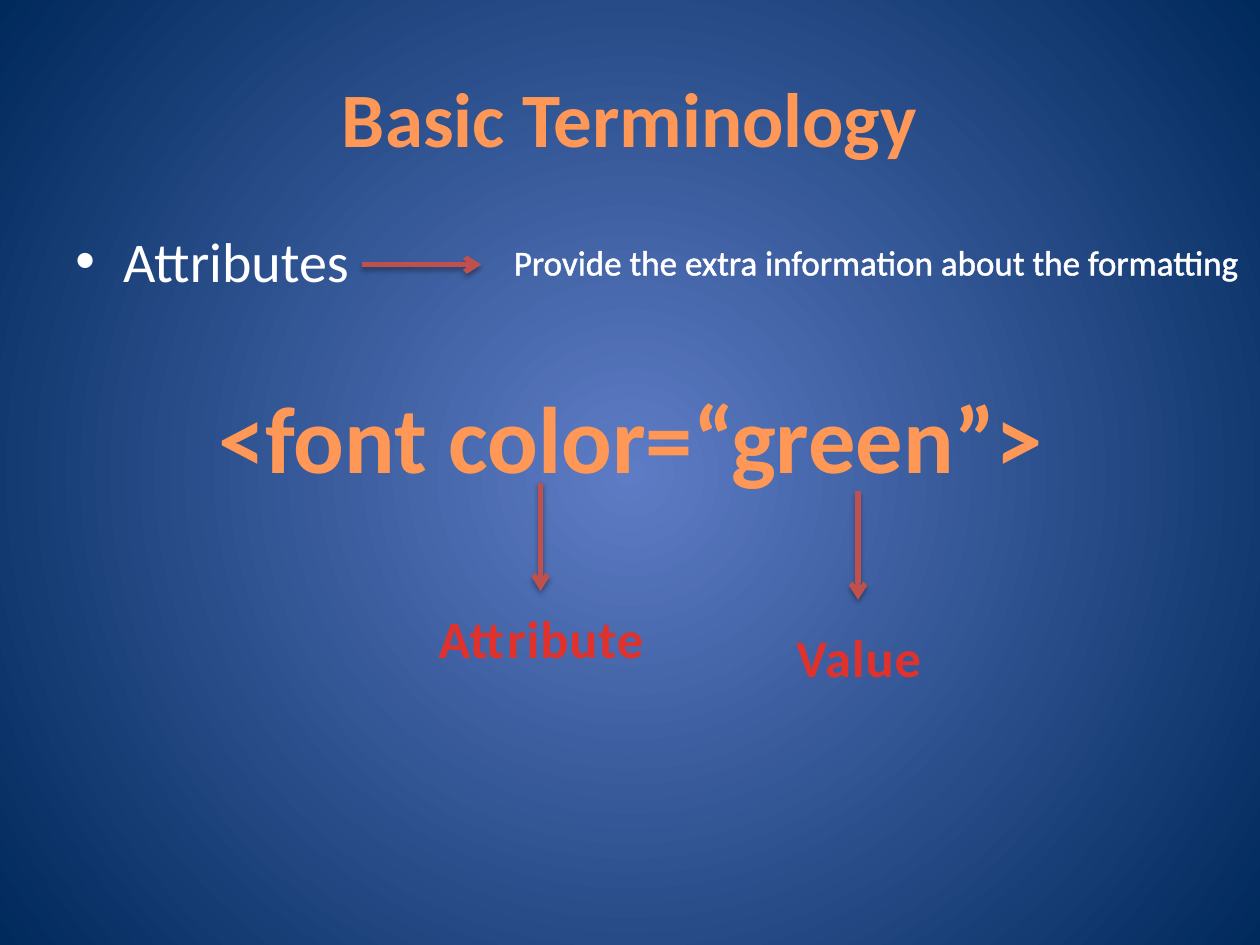
"""Build the Basic Terminology slide on HTML attributes and values."""
import dataclasses

import lxml.etree
import pptx
import pptx.dml.color
import pptx.enum.dml
import pptx.enum.shapes
import pptx.enum.text
import pptx.oxml
import pptx.oxml.ns
import pptx.util

Inches = pptx.util.Inches
Pt = pptx.util.Pt
Align = pptx.enum.text.PP_ALIGN
qn = pptx.oxml.ns.qn
NAMESPACE = pptx.oxml.ns.nsdecls("a")


@dataclasses.dataclass(frozen=True)
class Theme:
    font: str = "Calibri"
    center: str = "5E7CC5"
    edge: str = "00295C"
    orange: str = "FF9856"
    red: str = "E0322D"
    white: str = "FFFFFF"
    arrow: str = "C0504D"
    title_size: int = 44
    code_size: int = 54
    bullet_size: int = 32
    label_size: int = 30
    note_size: int = 20


theme = Theme()


def format_text(shape, text, size, color, bold=False, align=Align.CENTER):
    shape.text_frame.text = text
    paragraph = shape.text_frame.paragraphs[0]
    paragraph.alignment = align
    font = paragraph.runs[0].font
    font.name = theme.font
    font.size = Pt(size)
    font.bold = bold
    font.color.rgb = pptx.dml.color.RGBColor.from_string(color)
    return paragraph


def add_label(left, top, width, height, *text_format):
    shape = slide.shapes.add_textbox(Inches(left), Inches(top), Inches(width), Inches(height))
    paragraph = format_text(shape, *text_format)
    shape.text_frame.word_wrap = False
    shape.text_frame.auto_size = pptx.enum.text.MSO_AUTO_SIZE.SHAPE_TO_FIT_TEXT
    return paragraph


presentation = pptx.Presentation()
presentation.slide_width = Inches(10)
presentation.slide_height = Inches(7.5)
slide = presentation.slides.add_slide(presentation.slide_layouts[5])

background = slide.background.fill
background.gradient()
for stop, color in zip(background.gradient_stops, (theme.center, theme.edge)):
    stop.color.rgb = pptx.dml.color.RGBColor.from_string(color)
gradient = slide.element.find(".//" + qn("a:gradFill"))
gradient.replace(gradient.find(qn("a:lin")), pptx.oxml.parse_xml(
    f'<a:path {NAMESPACE} path="circle">'
    '<a:fillToRect l="50000" t="50000" r="50000" b="50000"/></a:path>'))

title = slide.shapes.title
title.left, title.top = Inches(0.5), Inches(0.3)
title.width, title.height = Inches(9), Inches(1.25)
title.text_frame.vertical_anchor = pptx.enum.text.MSO_ANCHOR.MIDDLE
format_text(title, "Basic Terminology", theme.title_size, theme.orange, True)

body = slide.shapes.add_textbox(Inches(0.5), Inches(1.75), Inches(9), Inches(4.95))
body.text_frame.word_wrap = True
bullet = format_text(body, "Attributes", theme.bullet_size, theme.white, False, Align.LEFT)
properties = bullet._p.get_or_add_pPr()
properties.set("marL", str(Inches(0.38)))
properties.set("indent", str(-Inches(0.38)))
lxml.etree.SubElement(properties, qn("a:buFont"), typeface="Arial")
lxml.etree.SubElement(properties, qn("a:buChar"), char="•")

note = add_label(3.98, 1.86, 6.02, 0.44, "Provide the extra information about the formatting",
                 theme.note_size, theme.white, False, Align.LEFT)
note.runs[0].font._element.insert(0, pptx.oxml.parse_xml(
    f'<a:ln {NAMESPACE} w="{Pt(1.45)}"><a:solidFill>'
    f'<a:srgbClr val="{theme.white}"/></a:solidFill></a:ln>'))

add_label(1.6, 2.96, 6.81, 1.01, "<font color=“green”>", theme.code_size, theme.orange, True)

for text, left, top, width in (("Attribute", 3.37, 4.76, 1.85), ("Value", 6.21, 4.91, 1.21)):
    label = add_label(left, top, width, 0.61, text, theme.label_size, theme.red, True)
    label.runs[0].font._element.set("spc", "50")

for left, top, across, down in ((2.87, 2.1, 0.95, 0), (4.29, 3.83, 0, 0.86), (6.81, 3.9, 0, 0.86)):
    arrow = slide.shapes.add_connector(
        pptx.enum.shapes.MSO_CONNECTOR.STRAIGHT,
        Inches(left), Inches(top), Inches(left + across), Inches(top + down))
    arrow.line.width = Pt(3)
    arrow.line.color.rgb = pptx.dml.color.RGBColor.from_string(theme.arrow)
    line = arrow.line._get_or_add_ln()
    lxml.etree.SubElement(line, qn("a:tailEnd"), type="arrow")
    line.addnext(pptx.oxml.parse_xml(
        f'<a:effectLst {NAMESPACE}><a:outerShdw blurRad="{Pt(3.1)}" dist="{Pt(1.8)}" '
        'dir="5400000" rotWithShape="0"><a:srgbClr val="000000"><a:alpha val="35000"/>'
        '</a:srgbClr></a:outerShdw></a:effectLst>'))

presentation.save("out.pptx")
